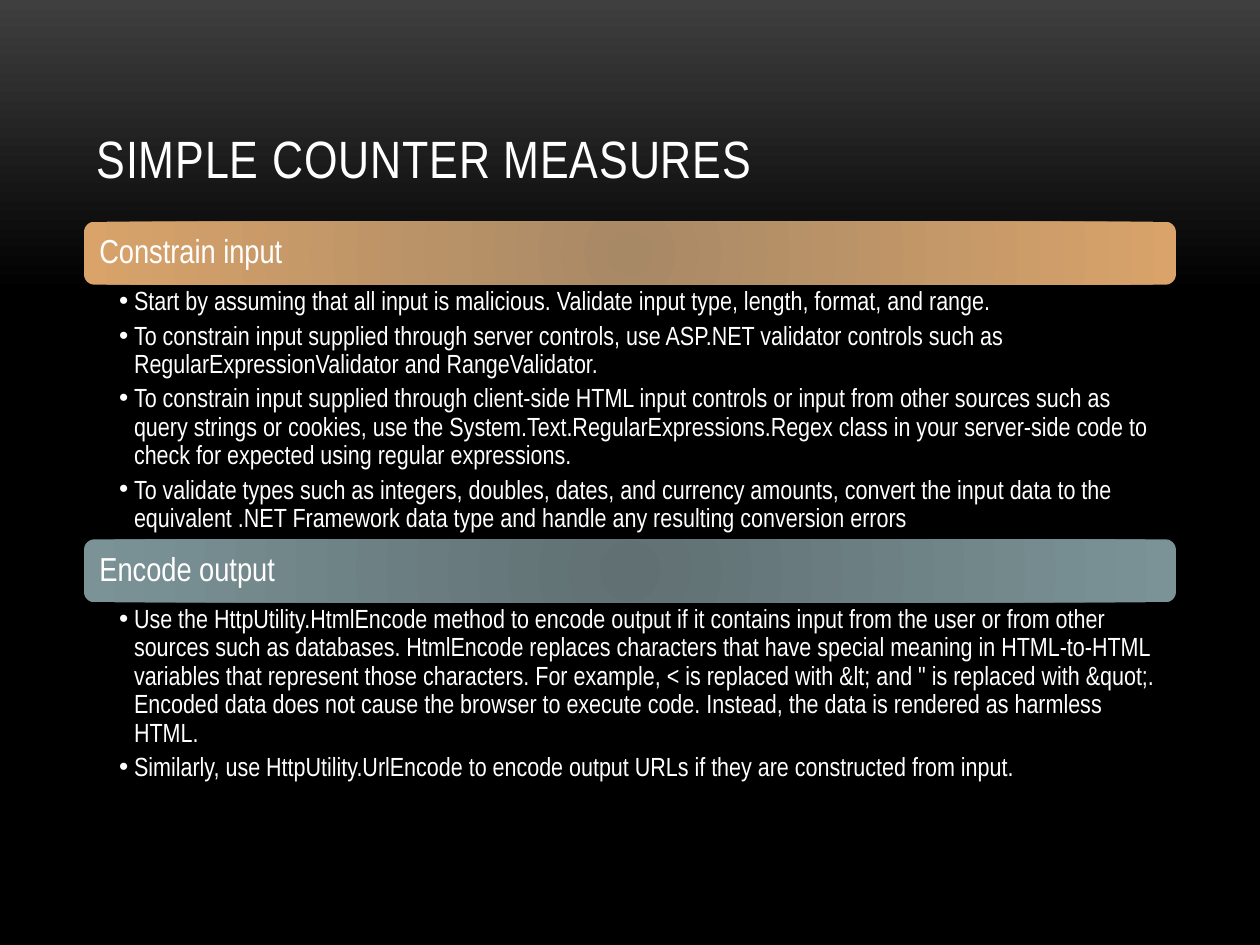
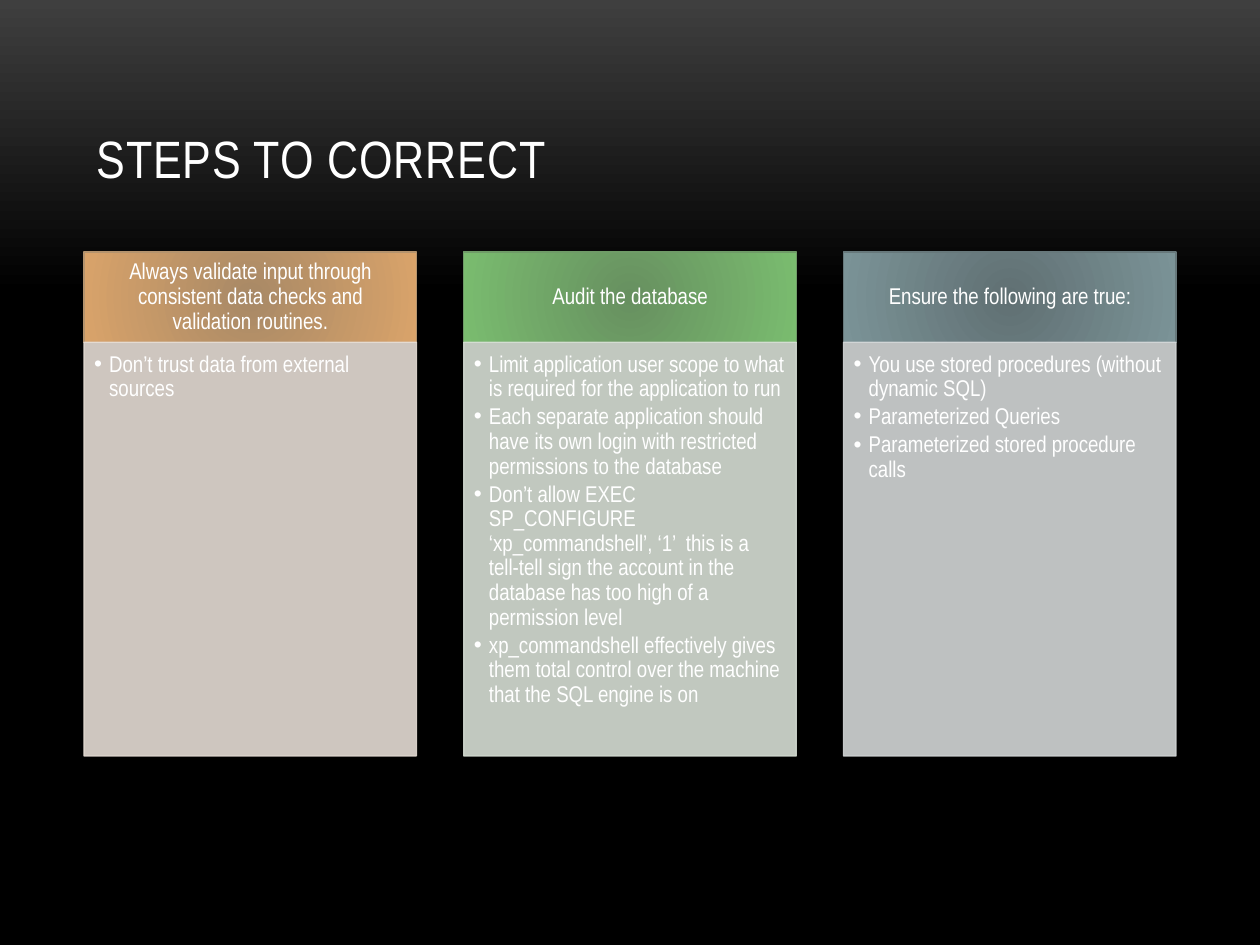
from lxml import etree
from pptx import Presentation
from pptx.dml.color import RGBColor
from pptx.enum import shapes, text
from pptx.oxml import ns
from pptx.util import Pt

FONT = "Arial Narrow"
WHITE = RGBColor(0xFF, 0xFF, 0xFF)
BLACK = RGBColor(0x00, 0x00, 0x00)
CHARCOAL = RGBColor(0x3F, 0x3F, 0x3F)
ORANGE = (RGBColor(0xA8, 0x89, 0x66), RGBColor(0xD9, 0xA3, 0x6A))
GREEN = (RGBColor(0x67, 0x90, 0x60), RGBColor(0x7A, 0xBC, 0x6F))
TEAL = (RGBColor(0x60, 0x70, 0x73), RGBColor(0x7B, 0x93, 0x97))
ORANGE_EDGE = RGBColor(0xB4, 0x93, 0x6D)
GREEN_EDGE = RGBColor(0x6F, 0x9B, 0x67)
TEAL_EDGE = RGBColor(0x67, 0x78, 0x7B)
ORANGE_TINT = RGBColor(0xE5, 0xDC, 0xD4)
GREEN_TINT = RGBColor(0xD6, 0xDE, 0xD4)
TEAL_TINT = RGBColor(0xD3, 0xD6, 0xD7)

LEFT, WIDTH = 48, 624
HANGING = 8.6

COUNTER_MEASURES = [
    ("Constrain input", ORANGE, 145.5, [
        "Start by assuming that all input is malicious. Validate input type, length, format, and range.",
        "To constrain input supplied through server controls, use ASP.NET validator controls such as "
        "RegularExpressionValidator and RangeValidator.",
        "To constrain input supplied through client-side HTML input controls or input from other sources "
        "such as query strings or cookies, use the System.Text.RegularExpressions.Regex class in your "
        "server-side code to check for expected using regular expressions.",
        "To validate types such as integers, doubles, dates, and currency amounts, convert the input data "
        "to the equivalent .NET Framework data type and handle any resulting conversion errors",
    ]),
    ("Encode output", TEAL, 105, [
        "Use the HttpUtility.HtmlEncode method to encode output if it contains input from the user or from "
        "other sources such as databases. HtmlEncode replaces characters that have special meaning in "
        "HTML-to-HTML variables that represent those characters. For example, < is replaced with &lt; and "
        "\" is replaced with &quot;. Encoded data does not cause the browser to execute code. Instead, the "
        "data is rendered as harmless HTML.",
        "Similarly, use HttpUtility.UrlEncode to encode output URLs if they are constructed from input.",
    ]),
]

CORRECTION_STEPS = [
    ("Always validate input through consistent data checks and validation routines.",
     ORANGE, ORANGE_EDGE, ORANGE_TINT, ["Don’t trust data from external sources"]),
    ("Audit the database", GREEN, GREEN_EDGE, GREEN_TINT, [
        "Limit application user scope to what is required for the application to run",
        "Each separate application should have its own login with restricted permissions to the database",
        "Don’t allow EXEC SP_CONFIGURE ‘xp_commandshell’, ‘1’  this is a tell-tell sign the account in the "
        "database has too high of a permission level",
        "xp_commandshell effectively gives them total control over the machine that the SQL engine is on",
    ]),
    ("Ensure the following are true:", TEAL, TEAL_EDGE, TEAL_TINT, [
        "You use stored procedures (without dynamic SQL)",
        "Parameterized Queries",
        "Parameterized stored procedure calls",
    ]),
]


def add_child(parent, tag, **attributes):
    """Append a drawing element with the given attributes."""
    values = {name: str(value) for name, value in attributes.items()}
    return etree.SubElement(parent, ns.qn(tag), values)


def set_gradient(fill, owner, stops, radial):
    """Fill with (percent, colour) stops, from the centre or from the top."""
    fill.gradient()
    gradient = next(owner.iter(ns.qn("a:gradFill")))
    for child in list(gradient):
        gradient.remove(child)
    stop_list = add_child(gradient, "a:gsLst")
    for percent, color in stops:
        add_child(add_child(stop_list, "a:gs", pos=percent * 1000), "a:srgbClr", val=color)
    if radial:
        circle = add_child(gradient, "a:path", path="circle")
        add_child(circle, "a:fillToRect", l=100000, t=100000, r=100000, b=100000)
    else:
        add_child(gradient, "a:lin", ang=5400000, scaled=0)


def write_text(frame, lines, size, insets, anchor, align=text.PP_ALIGN.LEFT, space=0, bullets=False):
    """Write and format paragraphs inside a text frame."""
    frame.text = "\n".join(lines)
    frame.word_wrap = True
    frame.vertical_anchor = anchor
    frame.margin_left, frame.margin_top, frame.margin_right, frame.margin_bottom = map(Pt, insets)
    for paragraph in frame.paragraphs:
        paragraph.alignment = align
        paragraph.line_spacing = 0.9
        paragraph.space_after = Pt(space)
        for run in paragraph.runs:
            run.font.name = FONT
            run.font.size = Pt(size)
            run.font.color.rgb = WHITE
        if bullets:
            properties = paragraph._p.get_or_add_pPr()
            properties.set("marL", str(Pt(HANGING)))
            properties.set("indent", str(-Pt(HANGING)))
            add_child(properties, "a:buFont", typeface="Arial")
            add_child(properties, "a:buChar", char="•")


def add_panel(slide, kind, box, edge=None):
    """Add a shape without shadow, outlined only when an edge colour is given."""
    shape = slide.shapes.add_shape(kind, *map(Pt, box))
    shape.shadow.inherit = False
    if edge is None:
        shape.line.fill.background()
    else:
        shape.line.color.rgb = edge
        shape.line.width = Pt(0.75)
    return shape


def add_header(slide, kind, box, gradient, edge=None):
    """Add a panel with a radial gradient."""
    shape = add_panel(slide, kind, box, edge)
    set_gradient(shape.fill, shape.element, zip((0, 100), gradient), radial=True)
    return shape


def add_titled_slide(presentation, title):
    """Add a title-only slide with the shared title style."""
    slide = presentation.slides.add_slide(presentation.slide_layouts[5])
    placeholder = slide.shapes.title
    placeholder.left, placeholder.top, placeholder.width, placeholder.height = map(Pt, (LEFT, 21.6, WIDTH, 90))
    frame = placeholder.text_frame
    write_text(frame, [title], 30, (7.2, 3.6, 7.2, 3.6), text.MSO_ANCHOR.BOTTOM)
    frame.auto_size = text.MSO_AUTO_SIZE.NONE
    frame.paragraphs[0].line_spacing = 1
    frame.paragraphs[0].runs[0].font._element.set("spc", "50")
    return slide


def add_section(slide, box, heading, gradient, points):
    """Place a rounded heading bar above its bullet list."""
    left, top, width, height = box
    bar_height = 36
    bar = add_header(slide, shapes.MSO_SHAPE.ROUNDED_RECTANGLE, (left, top, width, bar_height), gradient)
    write_text(bar.text_frame, [heading], 19, (7.2, 7.2, 7.2, 7.2), text.MSO_ANCHOR.MIDDLE)
    list_box = (left, top + bar_height, width, height - bar_height)
    bullet_list = slide.shapes.add_textbox(*map(Pt, list_box))
    write_text(bullet_list.text_frame, points, 15, (20, 2, 11, 2), text.MSO_ANCHOR.TOP, space=3.4, bullets=True)


def add_column(slide, box, heading, gradient, edge, tint, points):
    """Place a heading block above a tinted panel of bullets."""
    left, top, width, height = box
    header_height = 51.6
    header = add_header(slide, shapes.MSO_SHAPE.RECTANGLE, (left, top, width, header_height), gradient, edge)
    write_text(header.text_frame, [heading], 13, (7, 4, 7, 4), text.MSO_ANCHOR.MIDDLE, text.PP_ALIGN.CENTER)
    body_box = (left, top + header_height, width, height - header_height)
    body = add_panel(slide, shapes.MSO_SHAPE.RECTANGLE, body_box, tint)
    body.fill.solid()
    body.fill.fore_color.rgb = tint
    for color in body.element.spPr.iter(ns.qn("a:srgbClr")):
        add_child(color, "a:alpha", val=90000)
    write_text(body.text_frame, points, 13, (5.8, 5.8, 7.2, 8), text.MSO_ANCHOR.TOP, space=2, bullets=True)


def build_counter_measures(presentation):
    """Build the slide of stacked sections."""
    slide = add_titled_slide(presentation, "SIMPLE COUNTER MEASURES")
    top = 126.7
    for heading, gradient, list_height, points in COUNTER_MEASURES:
        height = 36 + list_height
        add_section(slide, (LEFT, top, WIDTH, height), heading, gradient, points)
        top += height


def build_correction_steps(presentation):
    """Build the slide of equally spaced columns."""
    slide = add_titled_slide(presentation, "STEPS TO CORRECT")
    width = 190
    pitch = (WIDTH - width) / (len(CORRECTION_STEPS) - 1)
    for index, column in enumerate(CORRECTION_STEPS):
        add_column(slide, (LEFT + index * pitch, 144, width, 288), *column)


def main():
    """Build and save the presentation."""
    presentation = Presentation()
    presentation.slide_width, presentation.slide_height = Pt(720), Pt(540)
    master = presentation.slide_master
    backdrop = [(0, CHARCOAL), (31, BLACK), (100, BLACK)]
    set_gradient(master.background.fill, master.element, backdrop, radial=False)
    build_counter_measures(presentation)
    build_correction_steps(presentation)
    presentation.save("out.pptx")


if __name__ == "__main__":
    main()
